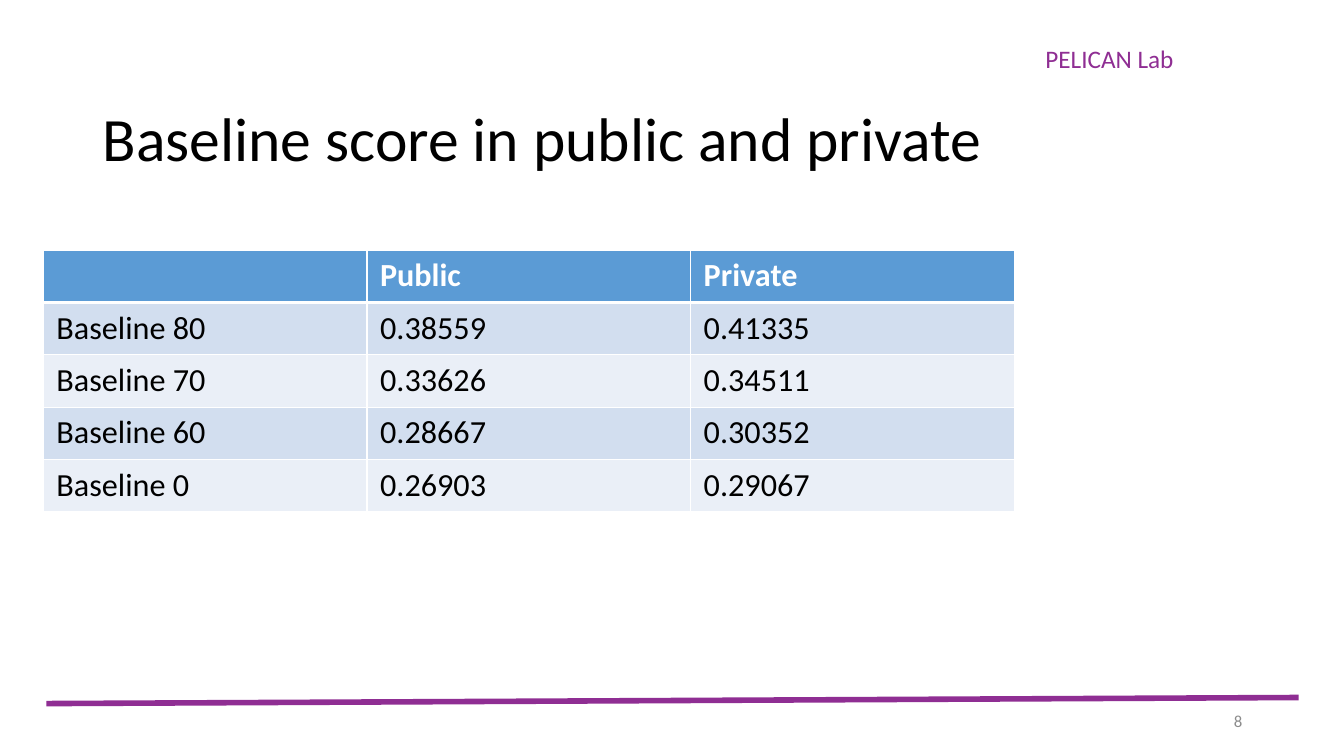
from lxml.etree import SubElement
from pptx import Presentation
from pptx.dml.color import RGBColor
from pptx.enum.shapes import MSO_CONNECTOR as CONNECTOR
from pptx.enum.text import MSO_ANCHOR as ANCHOR, PP_ALIGN as ALIGN
from pptx.oxml import parse_xml
from pptx.oxml.ns import nsdecls, qn
from pptx.util import Emu, Pt

PX = 9144  # EMU per px, 100 px to the inch
SLIDE_WIDTH, SLIDE_HEIGHT = 1333, 750
FONT = "Calibri"

PURPLE = RGBColor(0x8F, 0x2E, 0x93)
BLACK = RGBColor(0x00, 0x00, 0x00)
WHITE = RGBColor(0xFF, 0xFF, 0xFF)
GRAY = RGBColor(0x8C, 0x8C, 0x8C)
HEADER_BLUE = RGBColor(0x5B, 0x9B, 0xD5)
BAND_DARK = RGBColor(0xD2, 0xDE, 0xEF)
BAND_LIGHT = RGBColor(0xEA, 0xEF, 0xF7)

SCORES = [
    ("", "Public", "Private"),
    ("Baseline 80", "0.38559", "0.41335"),
    ("Baseline 70", "0.33626", "0.34511"),
    ("Baseline 60", "0.28667", "0.30352"),
    ("Baseline 0", "0.26903", "0.29067"),
]


def px(length):
    return Emu(length * PX)


def add_run(paragraph, text, size, color, bold=False):
    run = paragraph.add_run()
    run.text = text
    run.font.name = FONT
    run.font.size = Pt(size)
    run.font.bold = bold
    run.font.color.rgb = color


def add_text(slide, box, text, size, color, anchor=ANCHOR.MIDDLE, align=ALIGN.LEFT, spacing=1.0):
    frame = slide.shapes.add_textbox(*map(px, box)).text_frame
    frame.word_wrap = True
    frame.vertical_anchor = anchor
    paragraph = frame.paragraphs[0]
    paragraph.alignment = align
    paragraph.line_spacing = spacing
    add_run(paragraph, text, size, color)


def add_rule(slide, start, end):
    line = slide.shapes.add_connector(CONNECTOR.STRAIGHT, *map(px, start + end))
    line.line.color.rgb = PURPLE
    line.line.width = Pt(4)
    SubElement(line._element.spPr, qn("a:effectLst"))


def set_borders(cell, top, bottom):
    """Draw white cell borders; top and bottom are widths in points."""
    widths = {"lnL": 1, "lnR": 1, "lnT": top, "lnB": bottom}
    properties = cell._tc.get_or_add_tcPr()
    for index, (edge, width) in enumerate(widths.items()):
        properties.insert(index, parse_xml(
            f'<a:{edge} {nsdecls("a")} w="{Pt(width)}"><a:solidFill>'
            f'<a:srgbClr val="{WHITE}"/></a:solidFill></a:{edge}>'))


def add_score_table(slide, box):
    left, top, width, height = box
    row_count, column_count = len(SCORES), len(SCORES[0])
    table = slide.shapes.add_table(row_count, column_count, *map(px, box)).table
    for column in table.columns:
        column.width = px(width // column_count)
    for row in table.rows:
        row.height = px(height // row_count)

    for row_index, values in enumerate(SCORES):
        header = row_index == 0
        band = BAND_DARK if row_index % 2 else BAND_LIGHT
        for column_index, value in enumerate(values):
            cell = table.cell(row_index, column_index)
            cell.fill.solid()
            cell.fill.fore_color.rgb = HEADER_BLUE if header else band
            cell.margin_left = cell.margin_right = px(13)
            cell.margin_top = cell.margin_bottom = px(6)
            set_borders(cell, top=3 if row_index == 1 else 1, bottom=3 if header else 1)
            if value:
                add_run(cell.text_frame.paragraphs[0], value, 23,
                        WHITE if header else BLACK, bold=header)


def build_score_slide(presentation):
    slide = presentation.slides.add_slide(presentation.slide_layouts[6])
    # Lab name and bottom rule
    add_text(slide, (1027, 38, 288, 40), "PELICAN Lab", 18, PURPLE, anchor=ANCHOR.TOP)
    add_rule(slide, (46, 698), (1288, 692))
    # Title
    add_text(slide, (92, 68, 1150, 145), "Baseline score in public and private", 44, BLACK,
             spacing=0.9)
    # Scores
    add_score_table(slide, (43, 248, 963, 260))
    # Page number
    add_text(slide, (942, 695, 300, 40), "8", 12, GRAY, align=ALIGN.RIGHT)


def main():
    presentation = Presentation()
    presentation.slide_width = px(SLIDE_WIDTH)
    presentation.slide_height = px(SLIDE_HEIGHT)
    build_score_slide(presentation)
    presentation.save("out.pptx")


if __name__ == "__main__":
    main()
